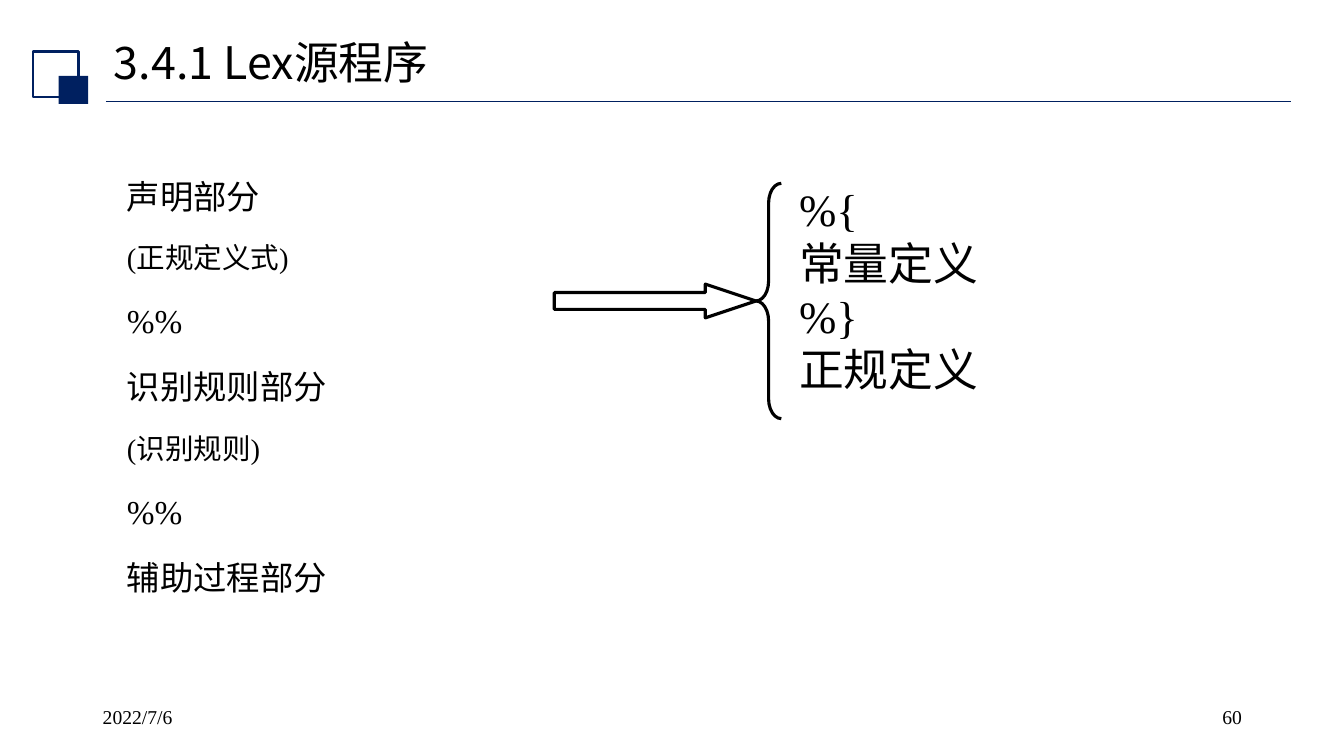
from pptx import Presentation
from pptx import util as u
from pptx.dml.color import RGBColor
from pptx.enum import shapes, text
from pptx.oxml.ns import qn
from lxml import etree

NAVY = RGBColor(0x00, 0x20, 0x60)
BLACK = RGBColor(0, 0, 0)
SANS = "Noto Sans CJK SC"
SERIF = "Times New Roman"
KIND = shapes.MSO_SHAPE


class Page:
    """Holds the text style and the current slide."""

    def __init__(self, deck):
        self.slide = deck.slides.add_slide(deck.slide_layouts[6])
        self.color = BLACK

    def rule(self, left, top, right, color, width):
        line = self.slide.shapes.add_connector(
            shapes.MSO_CONNECTOR.STRAIGHT,
            u.Cm(left), u.Cm(top), u.Cm(right), u.Cm(top))
        line.line.color.rgb = color
        line.line.width = u.Pt(width)
        etree.SubElement(line._element.spPr, qn("a:effectLst"))

    def shape(self, kind, box, fill=None, edge=None, width=1, adjust=()):
        item = self.slide.shapes.add_shape(kind, *map(u.Cm, box))
        item.shadow.inherit = False
        if fill is None:
            item.fill.background()
        else:
            item.fill.solid()
            item.fill.fore_color.rgb = fill
        if edge is None:
            item.line.fill.background()
        else:
            item.line.color.rgb = edge
            item.line.width = u.Pt(width)
        for i, value in enumerate(adjust):
            item.adjustments[i] = value

    def label(self, box, rows, font=SERIF, space=1.0, before=0, hang=0,
              align=text.PP_ALIGN.LEFT, anchor=text.MSO_ANCHOR.TOP):
        """Each row is a pair of wording and size in points."""
        frame = self.slide.shapes.add_textbox(*map(u.Cm, box)).text_frame
        frame.word_wrap = True
        frame.vertical_anchor = anchor
        frame.text = "\n".join(words for words, size in rows)
        for para, (words, size) in zip(frame.paragraphs, rows):
            para.alignment = align
            para.line_spacing = space
            para.space_before = u.Pt(before)
            if hang:
                props = para._p.get_or_add_pPr()
                props.set("marL", str(u.Cm(hang)))
                props.set("indent", str(-u.Cm(hang)))
            for run in para.runs:
                run.font.size = u.Pt(size)
                run.font.name = font
                run.font.color.rgb = self.color
                # Typeface for the Chinese characters
                east = etree.SubElement(run.font._element, qn("a:ea"))
                east.set("typeface", SANS)


def main():
    deck = Presentation()
    deck.slide_width, deck.slide_height = u.Cm(33.87), u.Cm(19.05)
    page = Page(deck)

    # Header: rule, two squares and title
    page.rule(2.67, 2.56, 32.54, NAVY, 1.25)
    page.shape(KIND.RECTANGLE, (0.84, 1.3, 1.14, 1.14), edge=NAVY, width=1.5)
    page.shape(KIND.RECTANGLE, (1.48, 1.91, 0.74, 0.71), fill=NAVY)
    page.label((2.62, 0.86, 29.21, 1.55), [("3.4.1 Lex源程序", 32)],
               font=SANS, space=0.9, anchor=text.MSO_ANCHOR.MIDDLE)

    # Footer: date and page number
    page.label((2.34, 17.65, 7.62, 1.02), [("2022/7/6", 14)])
    page.label((23.93, 17.65, 7.62, 1.02), [("60", 14)],
               align=text.PP_ALIGN.RIGHT)

    # Layout of the source program
    big, small = 23.8, 20.4
    parts = [("声明部分", big), ("(正规定义式)", small), ("%%", big),
             ("识别规则部分", big), ("(识别规则)", small), ("%%", big),
             ("辅助过程部分", big)]
    page.label((2.95, 4.01, 27.18, 11.46), parts,
               space=1.3, before=10, hang=0.64)

    # Contents of the declarations, with arrow and brace
    terms = [(words, 32) for words in ("%{", "常量定义", "%}", "正规定义")]
    page.label((19.89, 4.62, 5.92, 6.35), terms,
               space=0.9, before=3.4, hang=0.95)
    page.shape(KIND.RIGHT_ARROW, (13.97, 7.16, 5.08, 0.85),
               edge=BLACK, width=2.25, adjust=(0.5, 1.5))
    page.shape(KIND.LEFT_BRACE, (19.05, 4.62, 0.64, 5.93),
               edge=BLACK, width=2.25, adjust=(0.78, 0.5))

    deck.save("out.pptx")


if __name__ == "__main__":
    main()
